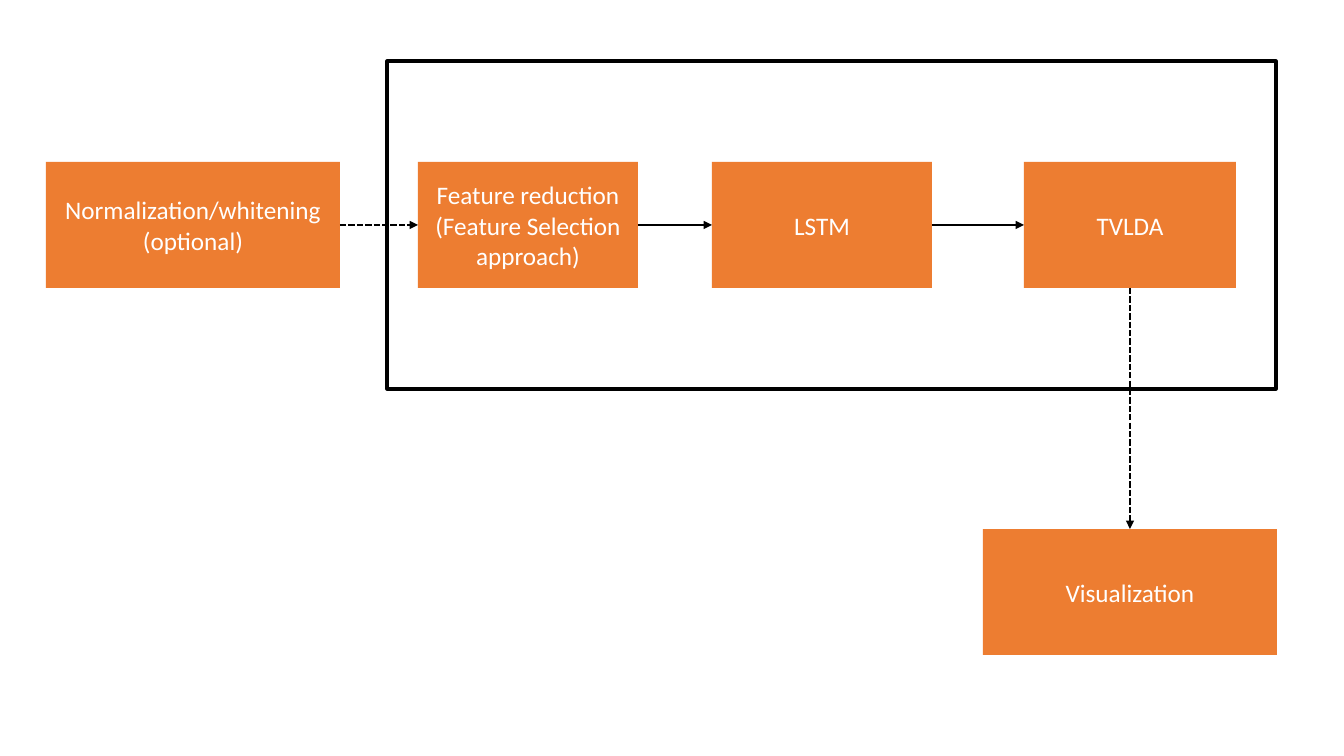
"""Build a slide showing a feature reduction, LSTM and TVLDA processing pipeline."""
import lxml.etree
import pptx
import pptx.dml.color
import pptx.enum.dml
import pptx.enum.shapes
import pptx.enum.text
import pptx.oxml.ns
import pptx.util

PIXEL = pptx.util.Inches(1) / 100.8
ORANGE = pptx.dml.color.RGBColor(0xED, 0x7D, 0x31)
BLACK = pptx.dml.color.RGBColor(0, 0, 0)
WHITE = pptx.dml.color.RGBColor(255, 255, 255)
RECTANGLE = pptx.enum.shapes.MSO_SHAPE.RECTANGLE
STRAIGHT = pptx.enum.shapes.MSO_CONNECTOR.STRAIGHT
BOX_HEIGHT = 126
ROW_TOP = 162
ROW_MIDDLE = ROW_TOP + BOX_HEIGHT // 2
VISUALIZATION_TOP = 529

presentation = pptx.Presentation()
presentation.slide_width = round(1344 * PIXEL)
presentation.slide_height = round(756 * PIXEL)
slide = presentation.slides.add_slide(presentation.slide_layouts[6])


def add_box(text, *, left, top, width, height=BOX_HEIGHT, fill=ORANGE):
    """Add a filled text box, or an outlined frame when fill is None."""
    shape = slide.shapes.add_shape(
        RECTANGLE, *(round(length * PIXEL) for length in (left, top, width, height)))
    shape.shadow.inherit = False
    if fill is None:
        shape.fill.background()
        shape.line.color.rgb = BLACK
        shape.line.width = pptx.util.Pt(2.25)
        return shape
    shape.fill.solid()
    shape.fill.fore_color.rgb = fill
    shape.line.fill.background()
    shape.text_frame.text = text
    shape.text_frame.word_wrap = True
    shape.text_frame.vertical_anchor = pptx.enum.text.MSO_ANCHOR.MIDDLE
    for paragraph in shape.text_frame.paragraphs:
        paragraph.alignment = pptx.enum.text.PP_ALIGN.CENTER
        paragraph.font.name = "Calibri"
        paragraph.font.size = pptx.util.Pt(18)
        paragraph.font.color.rgb = WHITE
    return shape


add_box("", left=387, top=61, width=889, height=328, fill=None)

steps = [
    ("Normalization/whitening\n(optional)", 46, 294),
    ("Feature reduction\n(Feature Selection approach)", 418, 220),
    ("LSTM", 712, 220),
    ("TVLDA", 1024, 212),
]
for text, left, width in steps:
    add_box(text, left=left, top=ROW_TOP, width=width)
add_box("Visualization", left=983, top=VISUALIZATION_TOP, width=294)

arrows = [
    (left + width, ROW_MIDDLE, next_left, ROW_MIDDLE, index == 0)
    for index, ((_, left, width), (_, next_left, _)) in enumerate(zip(steps, steps[1:]))
]
_, last_left, last_width = steps[-1]
last_center = last_left + last_width // 2
arrows.append((last_center, ROW_TOP + BOX_HEIGHT, last_center, VISUALIZATION_TOP, True))

for *ends, dashed in arrows:
    connector = slide.shapes.add_connector(
        STRAIGHT, *(round(length * PIXEL) for length in ends))
    connector.line.color.rgb = BLACK
    connector.line.width = pptx.util.Pt(1.5)
    if dashed:
        connector.line.dash_style = pptx.enum.dml.MSO_LINE.SQUARE_DOT
    properties = connector._element.spPr
    outline = properties.find(pptx.oxml.ns.qn("a:ln"))
    lxml.etree.SubElement(outline, pptx.oxml.ns.qn("a:tailEnd"), type="triangle")
    lxml.etree.SubElement(properties, pptx.oxml.ns.qn("a:effectLst"))

presentation.save("out.pptx")
